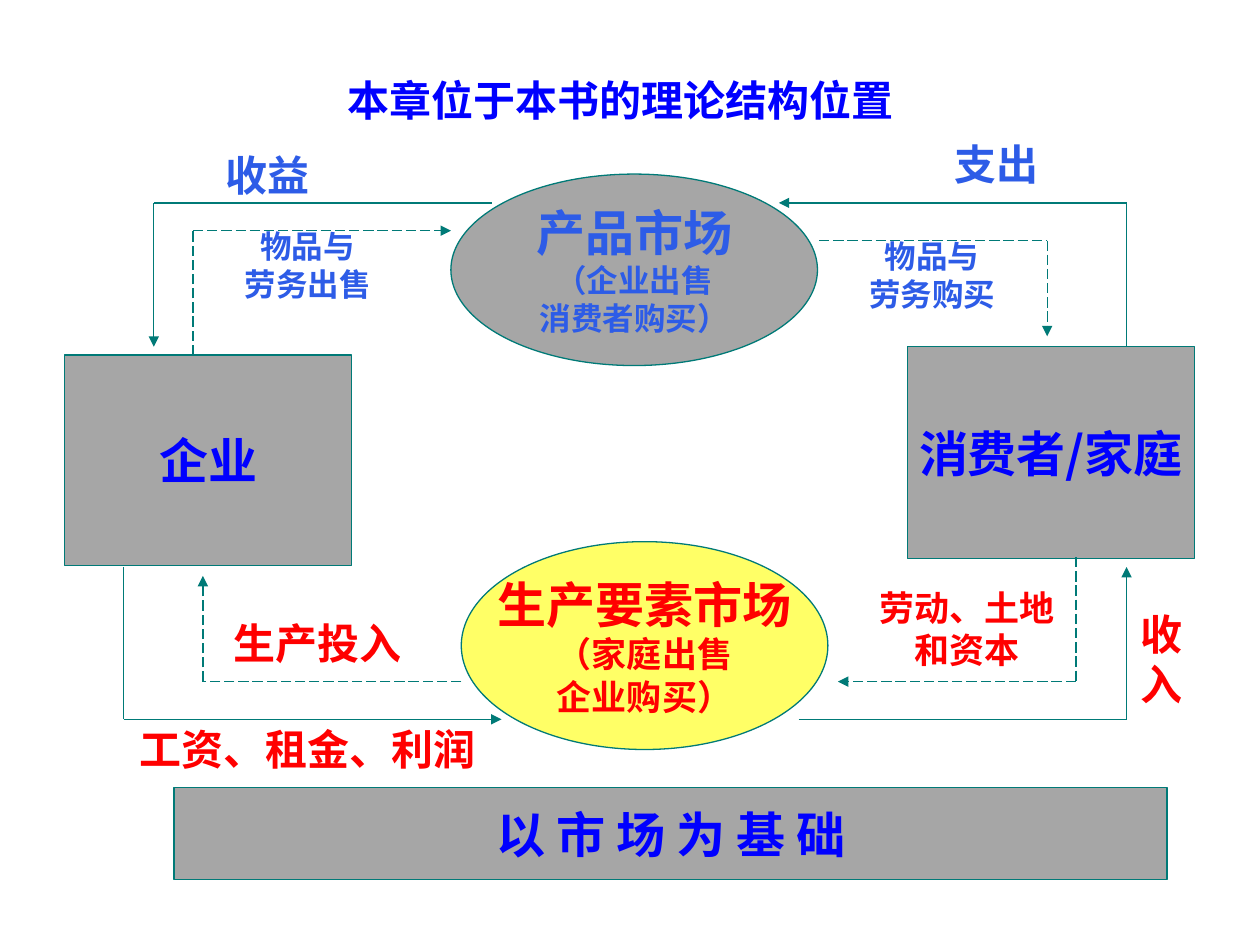
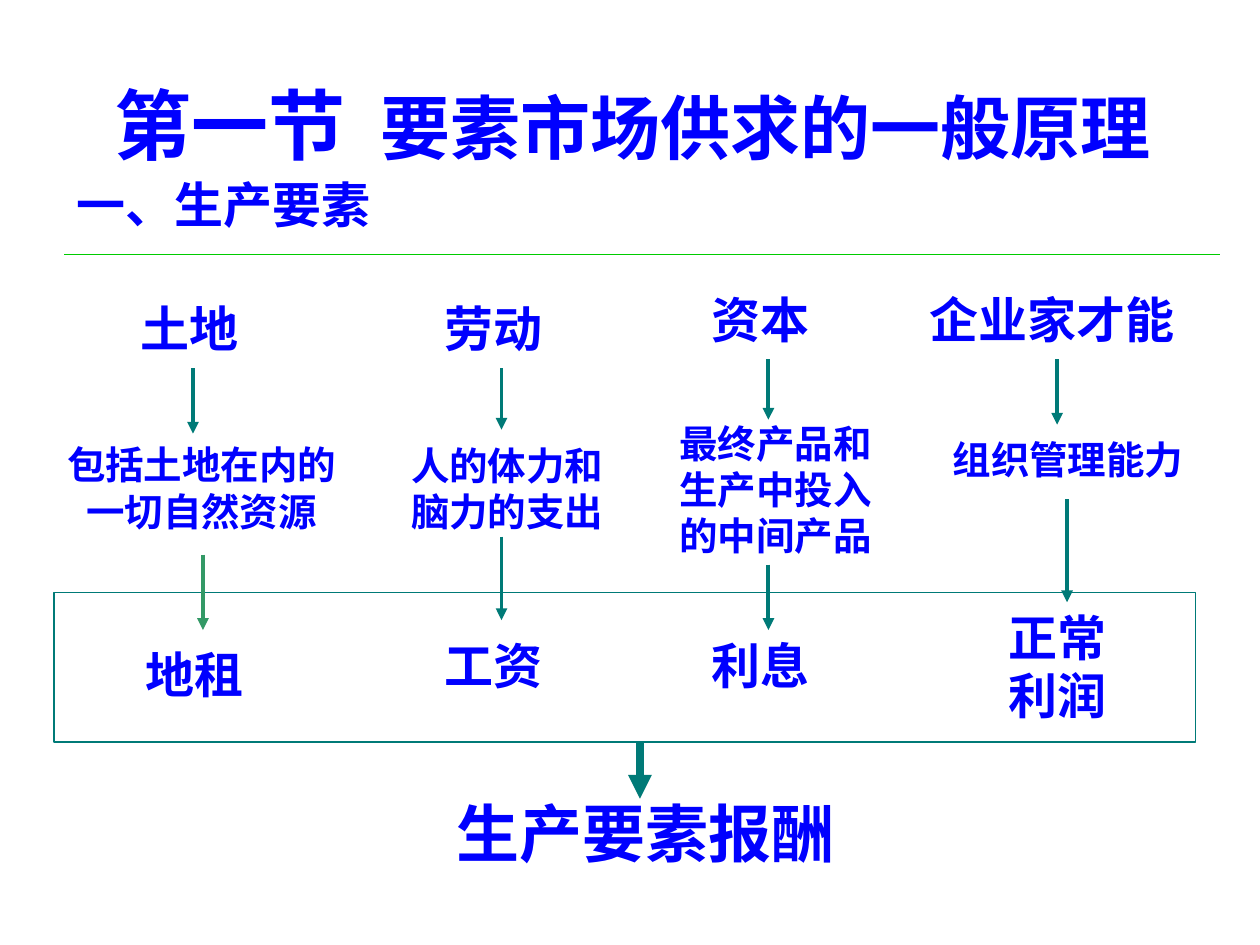
import dataclasses
import typing

import pptx
import pptx.dml.color
import pptx.enum.dml
import pptx.enum.shapes
import pptx.enum.text
import pptx.oxml
import pptx.oxml.ns
import pptx.shapes.autoshape
import pptx.shapes.connector
import pptx.slide
import pptx.util

Cm = pptx.util.Cm
Pt = pptx.util.Pt
RGBColor = pptx.dml.color.RGBColor
Align = pptx.enum.text.PP_ALIGN
Anchor = pptx.enum.text.MSO_ANCHOR
Outline = pptx.enum.shapes.MSO_SHAPE

FONT = "Noto Sans CJK SC"
WHITE = RGBColor(0xFF, 0xFF, 0xFF)
GREY = RGBColor(0xA6, 0xA6, 0xA6)
YELLOW = RGBColor(0xFF, 0xFF, 0x66)
TEAL = RGBColor(0x00, 0x7A, 0x77)
GREEN = RGBColor(0x33, 0x99, 0x66)
BRIGHT_GREEN = RGBColor(0x00, 0xCC, 0x00)
BLUE = RGBColor(0x00, 0x00, 0xFF)
SKY_BLUE = RGBColor(0x2D, 0x5C, 0xE7)
RED = RGBColor(0xFF, 0x00, 0x00)

Point = typing.Tuple[float, float]


@dataclasses.dataclass(frozen=True)
class Label:
    """Text with its frame in centimetres; without an outline it is a text box."""

    text: str
    left: float
    top: float
    width: float
    height: float
    size: float = 28
    color: RGBColor = BLUE
    detail_size: typing.Optional[float] = None
    outline: typing.Optional[Outline] = None
    fill: RGBColor = WHITE
    line: typing.Optional[RGBColor] = None
    align: Align = Align.CENTER
    anchor: Anchor = Anchor.MIDDLE
    wrap: bool = False


@dataclasses.dataclass(frozen=True)
class Flow:
    """A bent flow of two straight segments, the second with an arrowhead."""

    start: Point
    corner: Point
    end: Point
    dashed: bool = False


@dataclasses.dataclass(frozen=True)
class DownArrow:
    """A vertical arrow between two heights."""

    x: float
    top: float
    bottom: float
    color: RGBColor = TEAL
    weight: float = 2.25


@dataclasses.dataclass(frozen=True)
class Factor:
    """A production factor: its name, its meaning, its return and the arrows between."""

    name: Label
    meaning: Label
    reward: Label
    arrows: typing.Tuple[DownArrow, DownArrow]


def market(text: str, left: float, top: float, height: float, color: RGBColor,
           detail_size: float, fill: RGBColor) -> Label:
    """Describe a market ellipse."""
    return Label(text, left, top, 7.39, height, color=color, detail_size=detail_size,
                 outline=Outline.OVAL, fill=fill, line=TEAL)


def block(text: str, left: float, top: float, width: float, height: float) -> Label:
    """Describe a grey outlined rectangle."""
    return Label(text, left, top, width, height, outline=Outline.RECTANGLE, fill=GREY, line=TEAL)


def term(text: str, left: float, top: float, width: float = 2.97, height: float = 1.4) -> Label:
    """Describe the name or the return of a factor."""
    return Label(text, left, top, width, height, outline=Outline.RECTANGLE,
                 align=Align.LEFT, wrap=True)


def meaning(text: str, left: float, top: float, width: float, height: float) -> Label:
    """Describe the explanation of a factor."""
    return Label(text, left, top, width, height, size=22, outline=Outline.RECTANGLE, wrap=True)


CIRCULAR_FLOW_LABELS = [
    market("生产要素市场\n（家庭出售\n企业购买）", 9.3, 10.92, 4.19, RED, 20, YELLOW),
    market("产品市场\n（企业出售\n消费者购买）", 9.09, 3.51, 3.86, SKY_BLUE, 18, GREY),
    block("企业", 1.3, 7.16, 5.79, 4.24),
    block("消费者/家庭", 18.29, 6.99, 5.79, 4.27),
    block("以 市 场 为 基 础", 3.51, 15.88, 20.02, 1.85),
    Label("支出", 18.69, 2.72, 2.79, 1.17, 24, SKY_BLUE),
    Label("收益", 4.29, 3.12, 2.21, 0.79, 24, SKY_BLUE),
    Label("物品与\n劳务购买", 17.09, 5.05, 3.4, 0.97, 18, SKY_BLUE),
    Label("物品与\n劳务出售", 4.5, 4.85, 3.4, 0.97, 18, SKY_BLUE),
    Label("收\n入", 22.91, 12.4, 0.99, 1.75, 24, RED),
    Label("工资、租金、利润", 2.69, 14.71, 7, 0.76, 24, RED),
    Label("生产投入", 4.6, 12.57, 3.6, 0.79, 24, RED),
    Label("劳动、土地\n和资本", 17.59, 12.19, 3.8, 0.97, 20, RED),
    Label("本章位于本书的理论结构位置", 6.3, 1.12, 12.4, 1.8, 24),
]

FLOWS = [
    Flow((22.71, 6.99), (22.71, 4.09), (15.7, 4.09)),
    Flow((9.91, 4.09), (3.1, 4.09), (3.1, 6.99)),
    Flow((2.49, 11.43), (2.49, 14.5), (10.11, 14.5)),
    Flow((16.1, 14.5), (22.71, 14.5), (22.71, 11.43)),
    Flow((16.51, 4.85), (21.11, 4.85), (21.11, 6.78), dashed=True),
    Flow((3.89, 7.16), (3.89, 4.65), (9.09, 4.65), dashed=True),
    Flow((9.3, 13.74), (4.09, 13.74), (4.09, 11.61), dashed=True),
    Flow((21.69, 11.23), (21.69, 13.74), (16.89, 13.74), dashed=True),
]

FACTORS = [
    Factor(term("土地", 2.59, 5.92),
           meaning("包括土地在内的一切自然资源", 0.89, 8.74, 6.35, 2.18),
           term("地租", 2.69, 12.88),
           (DownArrow(3.89, 7.42, 8.74), DownArrow(4.09, 11.18, 12.7, GREEN))),
    Factor(term("劳动", 8.71, 5.92),
           meaning("人的体力和脑力的支出", 7.9, 8.94, 4.65, 1.8),
           term("工资", 8.71, 12.7),
           (DownArrow(10.11, 7.42, 8.66), DownArrow(10.11, 10.82, 12.5))),
    Factor(term("资本", 14.1, 5.72),
           meaning("最终产品和生产中投入的中间产品", 13.31, 8.56, 4.65, 2.59),
           term("利息", 14.1, 12.7),
           (DownArrow(15.49, 7.24, 8.46), DownArrow(15.49, 11.38, 12.7))),
    Factor(term("企业家才能", 18.49, 5.72, 6.15),
           meaning("组织管理能力", 18.9, 8.56, 5.26, 1.4),
           term("正常利润", 20.09, 12.32, 3.2, 2.21),
           (DownArrow(21.31, 7.24, 8.56), DownArrow(21.51, 10.06, 12.14))),
]


def format_run(run: typing.Any, size: float, color: RGBColor) -> None:
    """Give a run the shared bold font."""
    run.font.name = FONT
    run.font.size = Pt(size)
    run.font.bold = True
    run.font.color.rgb = color
    east_asian = pptx.oxml.parse_xml(
        f'<a:ea {pptx.oxml.ns.nsdecls("a")} typeface="{FONT}"/>')
    run.font._element.find(pptx.oxml.ns.qn("a:latin")).addnext(east_asian)


def draw_label(slide: pptx.slide.Slide, label: Label) -> pptx.shapes.autoshape.Shape:
    """Draw a label as a text box or a filled shape."""
    frame = [Cm(length) for length in (label.left, label.top, label.width, label.height)]
    if label.outline is None:
        shape = slide.shapes.add_textbox(*frame)
    else:
        shape = slide.shapes.add_shape(label.outline, *frame)
        shape.shadow.inherit = False
        shape.fill.solid()
        shape.fill.fore_color.rgb = label.fill
        if label.line is None:
            shape.line.fill.background()
        else:
            shape.line.color.rgb = label.line
            shape.line.width = Pt(0.75)
    text_frame = shape.text_frame
    text_frame.text = label.text
    text_frame.word_wrap = label.wrap
    text_frame.vertical_anchor = label.anchor
    if not label.wrap:
        text_frame.margin_left = text_frame.margin_right = Cm(0)
        text_frame.margin_top = text_frame.margin_bottom = Cm(0)
    for index, paragraph in enumerate(text_frame.paragraphs):
        paragraph.alignment = label.align
        size = label.detail_size if index and label.detail_size else label.size
        for run in paragraph.runs:
            format_run(run, size, label.color)
    return shape


def draw_line(slide: pptx.slide.Slide, start: Point, end: Point, color: RGBColor = TEAL,
              weight: float = 0.75, dashed: bool = False,
              arrow: bool = False) -> pptx.shapes.connector.Connector:
    """Draw a straight connector, with an arrowhead if wanted."""
    connector = slide.shapes.add_connector(
        pptx.enum.shapes.MSO_CONNECTOR.STRAIGHT, *(Cm(length) for length in start + end))
    connector.line.color.rgb = color
    connector.line.width = Pt(weight)
    if dashed:
        connector.line.dash_style = pptx.enum.dml.MSO_LINE.LONG_DASH
    namespace = pptx.oxml.ns.nsdecls("a")
    if arrow:
        connector.line._get_or_add_ln().append(
            pptx.oxml.parse_xml(f'<a:tailEnd {namespace} type="triangle"/>'))
    connector._element.spPr.append(pptx.oxml.parse_xml(f"<a:effectLst {namespace}/>"))
    return connector


def draw_flow(slide: pptx.slide.Slide, flow: Flow) -> None:
    """Draw both segments of a flow."""
    draw_line(slide, flow.start, flow.corner, dashed=flow.dashed)
    draw_line(slide, flow.corner, flow.end, dashed=flow.dashed, arrow=True)


def draw_down_arrow(slide: pptx.slide.Slide, arrow: DownArrow) -> None:
    """Draw a vertical arrow."""
    draw_line(slide, (arrow.x, arrow.top), (arrow.x, arrow.bottom),
              arrow.color, arrow.weight, arrow=True)


def build_circular_flow(slide: pptx.slide.Slide) -> None:
    """Build the circular flow between firms and households."""
    for label in CIRCULAR_FLOW_LABELS:
        draw_label(slide, label)
    for flow in FLOWS:
        draw_flow(slide, flow)


def build_factors(slide: pptx.slide.Slide) -> None:
    """Build the overview of production factors and their returns."""
    title = draw_label(slide, Label("第一节  ", 0.89, 1.52, 23.72, 1.93, size=44, wrap=True))
    topic = title.text_frame.paragraphs[0].add_run()
    topic.text = "要素市场供求的一般原理"
    format_run(topic, 40, BLUE)
    heading = draw_label(slide, Label("一、生产要素", 1.3, 3.53, 22.86, 1.4, align=Align.LEFT,
                                      anchor=Anchor.TOP, wrap=True))
    heading.text_frame.paragraphs[0].line_spacing = 0.9
    draw_line(slide, (1.3, 5.13), (24.59, 5.13), BRIGHT_GREEN)
    draw_label(slide, Label("", 1.09, 11.94, 23.01, 3.02,
                            outline=Outline.RECTANGLE, line=TEAL))
    for factor in FACTORS:
        for label in (factor.name, factor.meaning, factor.reward):
            draw_label(slide, label)
        for arrow in factor.arrows:
            draw_down_arrow(slide, arrow)
    draw_label(slide, Label("生产要素报酬", 7.9, 16.03, 10.21, 1.5, size=36,
                            outline=Outline.RECTANGLE))
    draw_down_arrow(slide, DownArrow(12.9, 14.96, 16.1, weight=4.5))


def main() -> None:
    """Build and save the presentation."""
    presentation = pptx.Presentation()
    presentation.slide_width = Cm(25.4)
    presentation.slide_height = Cm(19.05)
    for build in (build_circular_flow, build_factors):
        build(presentation.slides.add_slide(presentation.slide_layouts[6]))
    presentation.save("out.pptx")


if __name__ == "__main__":
    main()
